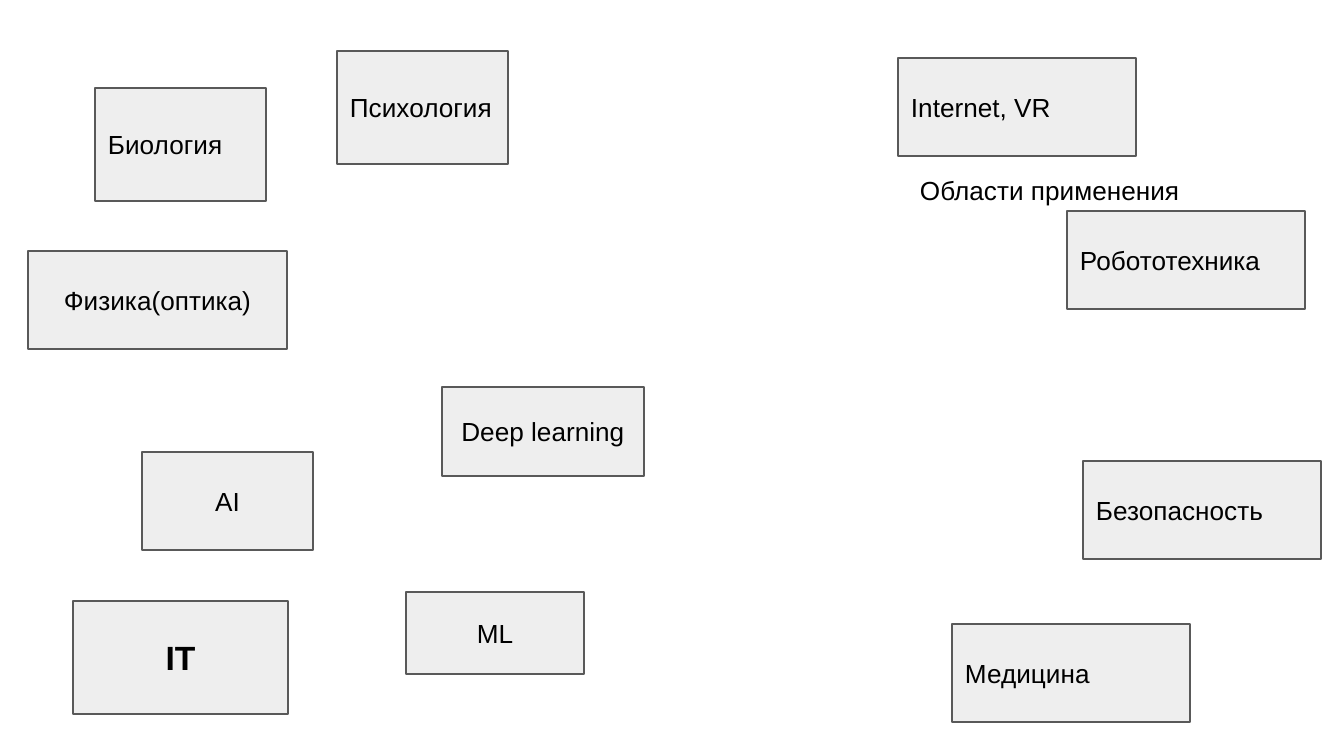
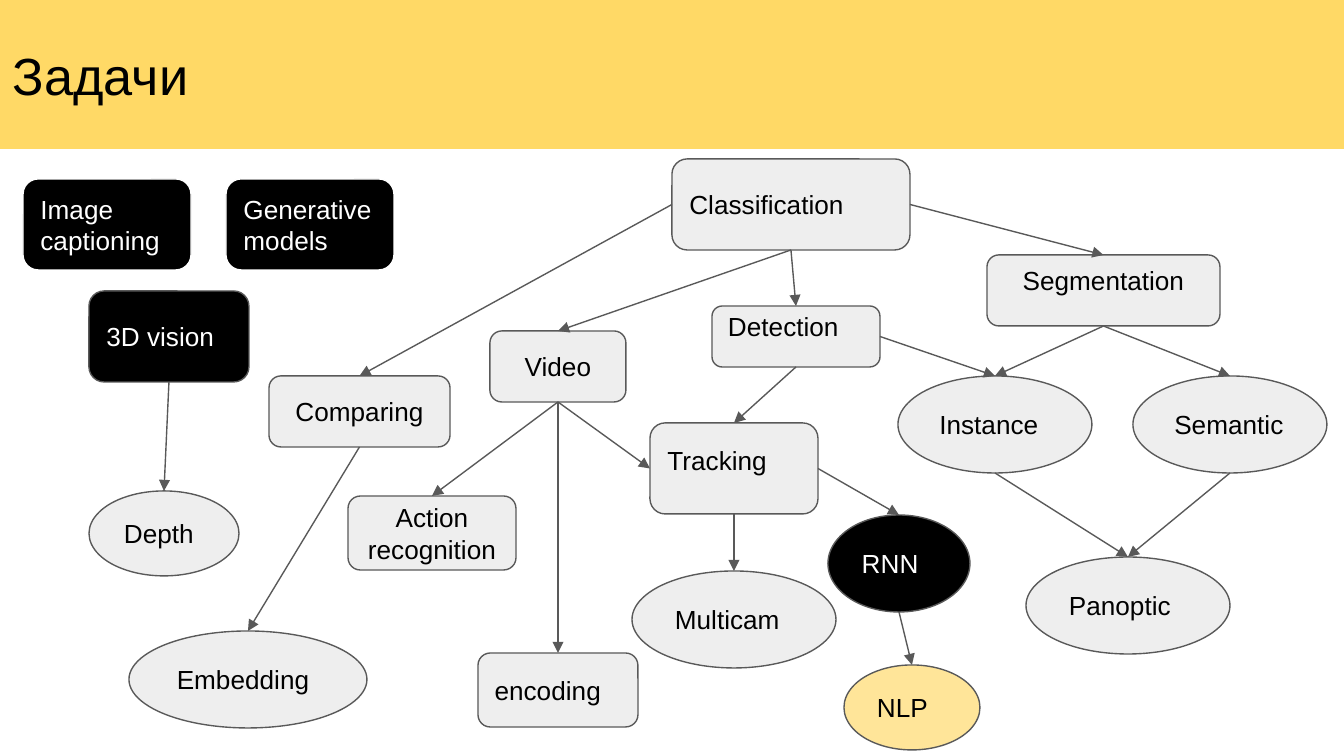
import pptx
import pptx.util
import pptx.dml.color
import pptx.enum.shapes
import pptx.enum.text
import pptx.oxml
import pptx.oxml.ns

Pt = pptx.util.Pt
RGB = pptx.dml.color.RGBColor
KIND = pptx.enum.shapes.MSO_SHAPE
ALIGN = pptx.enum.text.PP_ALIGN
ANCHOR = pptx.enum.text.MSO_ANCHOR

BLACK = RGB(0x00, 0x00, 0x00)
WHITE = RGB(0xFF, 0xFF, 0xFF)
PALE = RGB(0xEE, 0xEE, 0xEE)
GREY = RGB(0x59, 0x59, 0x59)
GOLD = RGB(0xFF, 0xD9, 0x66)
CREAM = RGB(0xFF, 0xE5, 0x99)

SCALE = 914400 / 134.4
WIDE, HIGH = 1344, 756
PAD = 13
FONT = "Arial"
TOP, LEFT, BOTTOM, RIGHT = range(4)

# text, (left, top, width, height), options
FIELDS = [
    ("Биология", (95, 88, 171, 113), {}),
    ("AI", (142, 452, 171, 98), {"mid": True}),
    ("Робототехника", (1067, 211, 238, 98), {}),
    ("ML", (406, 592, 178, 82), {"mid": True}),
    ("Медицина", (952, 624, 238, 98), {}),
    ("Безопасность", (1083, 461, 238, 98), {}),
    ("Физика(оптика)", (28, 251, 259, 98), {"mid": True}),
    ("Психология", (337, 51, 171, 113), {}),
    ("Internet, VR", (898, 58, 238, 98), {}),
    ("IT", (73, 601, 215, 113), {"mid": True, "size": 18, "bold": True}),
    ("Deep learning", (442, 387, 202, 89), {"mid": True}),
]
LABEL = ("Области применения", (907, 161, 327, 63))

TITLE = ("Задачи", (0, 0, WIDE, 149))
DARK = {"fill": BLACK, "ink": WHITE}
# "drop" is the distance from the top edge of the box to its text
CARDS = [
    ("Classification", (672, 159, 238, 91), {}),
    ("Segmentation", (987, 255, 233, 71), {"mid": True, "drop": 6}),
    ("Generative models", (226, 179, 168, 91), {**DARK, "edge": WHITE}),
    ("Image captioning", (23, 179, 168, 91), {**DARK, "edge": WHITE}),
    ("3D vision", (89, 291, 160, 91), DARK),
    ("Detection", (712, 306, 168, 61), {"drop": 1}),
    ("Tracking", (650, 423, 168, 91), {"drop": 17}),
]
ROUNDS = [
    ("Video", (490, 331, 136, 71), {"mid": True}),
    ("Action\nrecognition", (348, 496, 168, 74), {"mid": True}),
    ("encoding", (478, 653, 160, 74), {}),
    ("Comparing", (269, 376, 181, 71), {"mid": True}),
]
OVALS = [
    ("Instance", (898, 376, 194, 97), {}),
    ("Semantic", (1133, 376, 194, 97), {}),
    ("Panoptic", (1026, 557, 204, 97), {}),
    ("Multicam", (632, 571, 204, 97), {}),
    ("Embedding", (129, 631, 238, 97), {}),
    ("RNN", (828, 515, 142, 97), DARK),
    ("Depth", (89, 491, 150, 85), {}),
    ("NLP", (844, 665, 136, 85), {"fill": CREAM}),
]
LINKS = [
    ("Classification", LEFT, "Comparing", TOP),
    ("Classification", BOTTOM, "Video", TOP),
    ("Classification", BOTTOM, "Detection", TOP),
    ("Classification", RIGHT, "Segmentation", TOP),
    ("Segmentation", BOTTOM, "Instance", TOP),
    ("Segmentation", BOTTOM, "Semantic", TOP),
    ("Detection", RIGHT, "Instance", TOP),
    ("Detection", BOTTOM, "Tracking", TOP),
    ("Instance", BOTTOM, "Panoptic", TOP),
    ("Semantic", BOTTOM, "Panoptic", TOP),
    ("Video", BOTTOM, "Tracking", LEFT),
    ("Video", BOTTOM, "Action\nrecognition", TOP),
    ("Video", BOTTOM, "encoding", TOP),
    ("Tracking", BOTTOM, "Multicam", TOP),
    ("Tracking", RIGHT, "RNN", TOP),
    ("RNN", BOTTOM, "NLP", TOP),
    ("Comparing", BOTTOM, "Embedding", TOP),
    ("3D vision", BOTTOM, "Depth", TOP),
]


def px(num):
    return round(num * SCALE)


def write(shape, text, size=14, ink=BLACK, bold=False, mid=False,
          anchor=ANCHOR.MIDDLE, drop=PAD):
    frame = shape.text_frame
    frame.word_wrap = True
    frame.vertical_anchor = anchor
    frame.margin_left = frame.margin_right = frame.margin_bottom = px(PAD)
    frame.margin_top = px(drop)
    frame.text = text
    for para in frame.paragraphs:
        para.alignment = ALIGN.CENTER if mid else ALIGN.LEFT
        font = para.font
        font.name, font.size, font.bold = FONT, Pt(size), bold
        font.color.rgb = ink


def draw(slide, kind, text, area, fill=PALE, edge=GREY, **style):
    """Add a filled shape with text; edge=None leaves out its outline."""
    shape = slide.shapes.add_shape(kind, *map(px, area))
    shape.shadow.inherit = False
    shape.fill.solid()
    shape.fill.fore_color.rgb = fill
    if edge is None:
        shape.line.fill.background()
    else:
        shape.line.color.rgb = edge
        shape.line.width = Pt(0.75)
    if "drop" in style:
        style["anchor"] = ANCHOR.TOP
    write(shape, text, **style)
    return shape


def spot(shape, side):
    """Give the middle of one side of a shape."""
    x, y, w, h = shape.left, shape.top, shape.width, shape.height
    return [(x + w // 2, y), (x, y + h // 2),
            (x + w // 2, y + h), (x + w, y + h // 2)][side]


def link(slide, start, out, end, into):
    line = slide.shapes.add_connector(
        pptx.enum.shapes.MSO_CONNECTOR.STRAIGHT,
        *spot(start, out), *spot(end, into))
    # An ellipse numbers its sites differently: only its top matches.
    if start.auto_shape_type != KIND.OVAL or out == TOP:
        line.begin_connect(start, out)
    if end.auto_shape_type != KIND.OVAL or into == TOP:
        line.end_connect(end, into)
    line.line.color.rgb = GREY
    line.line.width = Pt(0.75)
    head = pptx.oxml.parse_xml(
        f'<a:tailEnd {pptx.oxml.ns.nsdecls("a")} type="triangle"/>')
    line.line._get_or_add_ln().append(head)
    line._element.spPr.append(pptx.oxml.parse_xml(
        f'<a:effectLst {pptx.oxml.ns.nsdecls("a")}/>'))


def fields(slide):
    text, area = LABEL
    write(slide.shapes.add_textbox(*map(px, area)), text, anchor=ANCHOR.TOP)
    for text, area, style in FIELDS:
        draw(slide, KIND.RECTANGLE, text, area, **style)


def tasks(slide):
    draw(slide, KIND.RECTANGLE, *TITLE, fill=GOLD, edge=None, size=28)
    nodes = {}
    for kind, group in ((KIND.FLOWCHART_ALTERNATE_PROCESS, CARDS),
                        (KIND.ROUNDED_RECTANGLE, ROUNDS),
                        (KIND.OVAL, OVALS)):
        for text, area, style in group:
            nodes[text] = draw(slide, kind, text, area, **style)
    for start, out, end, into in LINKS:
        link(slide, nodes[start], out, nodes[end], into)


def main():
    deck = pptx.Presentation()
    deck.slide_width, deck.slide_height = px(WIDE), px(HIGH)
    for build in (fields, tasks):
        build(deck.slides.add_slide(deck.slide_layouts[6]))
    deck.save("out.pptx")


if __name__ == "__main__":
    main()
